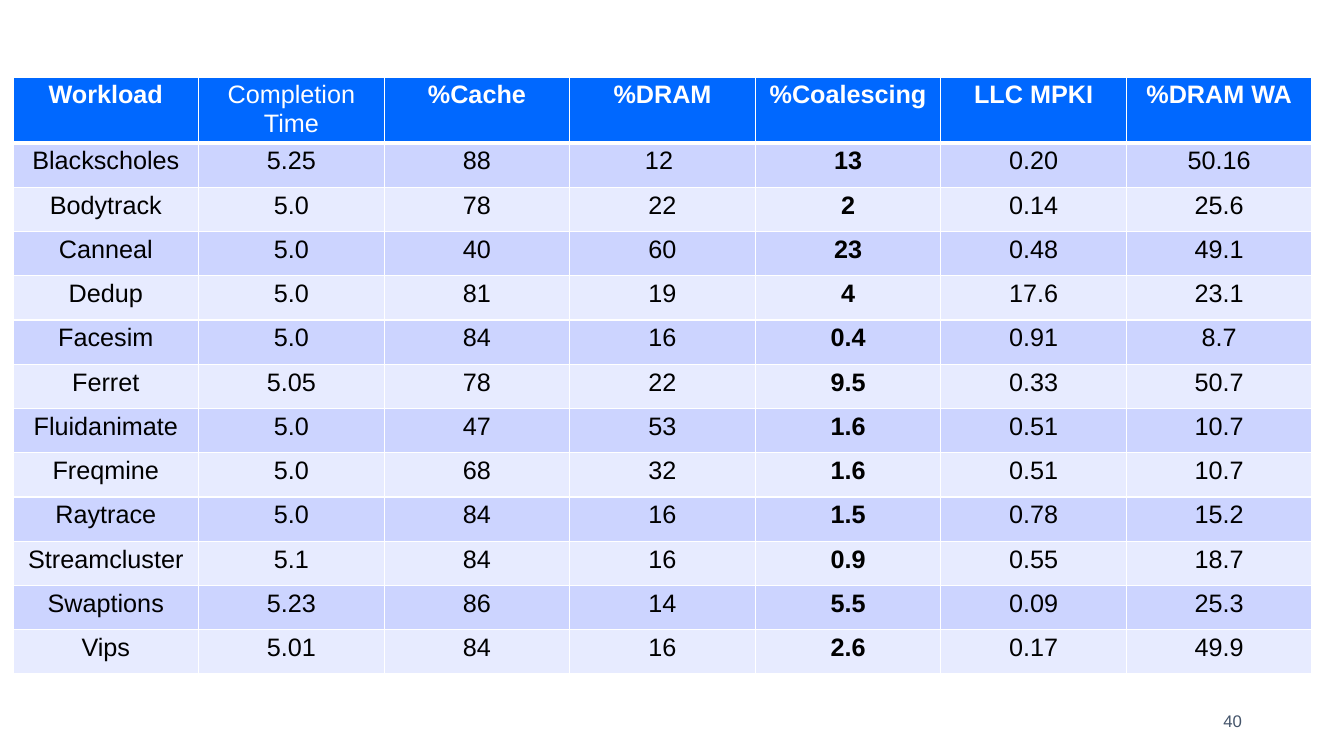
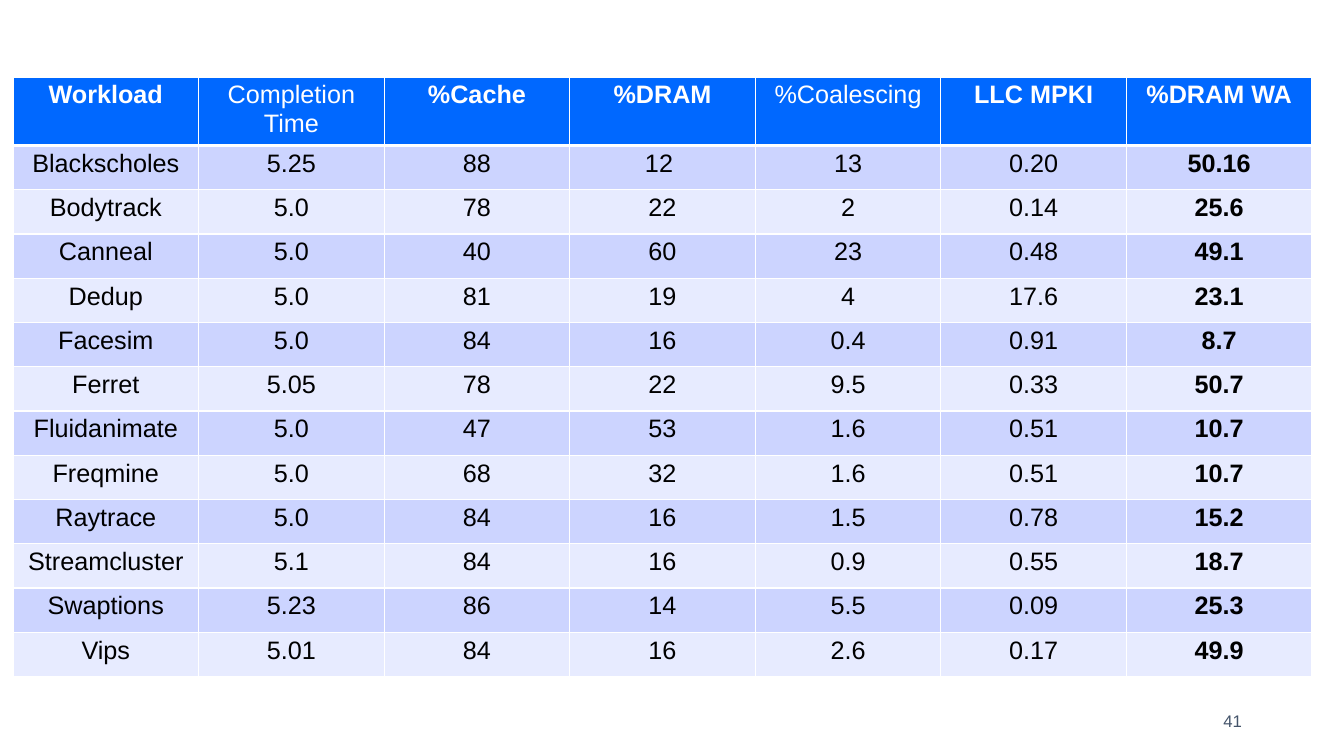
from lxml.etree import SubElement
from pptx import Presentation
from pptx.dml.color import RGBColor as RGB
from pptx.enum.text import MSO_ANCHOR as ANCHOR, PP_ALIGN as ALIGN
from pptx.oxml.ns import qn
from pptx.util import Emu, Pt

COLORS = {
    "header": "0068FF",
    "odd": "CCD4FF",
    "even": "E7EBFF",
    "border": "FFFFFF",
    "header_text": "FFFFFF",
    "body_text": "000000",
    "number": "44546A",
}
HEADINGS = ["Workload", "Completion Time", "%Cache", "%DRAM", "%Coalescing", "LLC MPKI", "%DRAM WA"]
WORKLOADS = [
    ["Blackscholes", "5.25", "88", "12 ", "13", "0.20", "50.16"],
    ["Bodytrack", "5.0", "78", "22", "2", "0.14", "25.6"],
    ["Canneal", "5.0", "40", "60", "23", "0.48", "49.1"],
    ["Dedup", "5.0", "81", "19", "4", "17.6", "23.1"],
    ["Facesim", "5.0", "84", "16", "0.4", "0.91", "8.7"],
    ["Ferret", "5.05", "78", "22", "9.5", "0.33", "50.7"],
    ["Fluidanimate", "5.0", "47", "53", "1.6", "0.51", "10.7"],
    ["Freqmine", "5.0", "68", "32", "1.6", "0.51", "10.7"],
    ["Raytrace", "5.0", "84", "16", "1.5", "0.78", "15.2"],
    ["Streamcluster", "5.1", "84", "16", "0.9", "0.55", "18.7"],
    ["Swaptions", "5.23", "86", "14", "5.5", "0.09", "25.3"],
    ["Vips", "5.01", "84", "16", "2.6", "0.17", "49.9"],
]
SLIDES = [
    {"number": "40", "light_headings": {1}, "bold_column": 4},
    {"number": "41", "light_headings": {1, 4}, "bold_column": 6},
]


def px(length):
    return Emu(round(length * 9144000 / 1008))


class Deck:
    """Holds the shared style and the slide being built."""

    font = "Arial"

    def __init__(self):
        self.presentation = Presentation()
        self.presentation.slide_width = px(1344)
        self.presentation.slide_height = px(756)
        self.slide = None

    def add_slide(self):
        self.slide = self.presentation.slides.add_slide(self.presentation.slide_layouts[6])

    def add_text(self, frame, text, color, size, align, bold=False):
        paragraph = frame.paragraphs[0]
        paragraph.alignment = align
        run = paragraph.add_run()
        run.text = text
        formats = {"name": self.font, "size": Pt(size), "bold": bold}
        for name, value in formats.items():
            setattr(run.font, name, value)
        run.font.color.rgb = RGB.from_string(COLORS[color])

    def border(self, cell, top, bottom):
        properties = cell._tc.get_or_add_tcPr()
        widths = {"a:lnL": 1, "a:lnR": 1, "a:lnT": top, "a:lnB": bottom}
        for index, (tag, width) in enumerate(widths.items()):
            line = properties.makeelement(qn(tag), {"w": str(Pt(width))})
            fill = SubElement(line, qn("a:solidFill"))
            SubElement(fill, qn("a:srgbClr"), val=COLORS["border"])
            properties.insert(index, line)

    def style_cell(self, cell, fill):
        margins = {"margin_left": 7, "margin_right": 7, "margin_top": 4, "margin_bottom": 4}
        for name, value in margins.items():
            setattr(cell, name, px(value))
        cell.fill.solid()
        cell.fill.fore_color.rgb = RGB.from_string(COLORS[fill])

    def add_table(self, light_headings, bold_column):
        rows = [HEADINGS, *WORKLOADS]
        header_height, body_height = 66, 531
        table = self.slide.shapes.add_table(
            len(rows), len(HEADINGS), px(13), px(77), px(1299), px(header_height + body_height)
        ).table
        for row_index, values in enumerate(rows):
            is_header = row_index == 0
            height = header_height if is_header else body_height / len(WORKLOADS)
            table.rows[row_index].height = px(height)
            fill = "header" if is_header else ("even", "odd")[row_index % 2]
            color = "header_text" if is_header else "body_text"
            for column, text in enumerate(values):
                cell = table.cell(row_index, column)
                bold = column not in light_headings if is_header else column == bold_column
                self.style_cell(cell, fill)
                self.border(cell, 3 if row_index == 1 else 1, 3 if is_header else 1)
                self.add_text(cell.text_frame, text, color, 18, ALIGN.CENTER, bold)

    def add_number(self, number):
        frame = self.slide.shapes.add_textbox(px(950), px(701), px(302), px(40)).text_frame
        frame.word_wrap = True
        frame.vertical_anchor = ANCHOR.MIDDLE
        self.add_text(frame, number, "number", 12, ALIGN.RIGHT)


def main():
    deck = Deck()
    for content in SLIDES:
        deck.add_slide()
        deck.add_table(content["light_headings"], content["bold_column"])
        deck.add_number(content["number"])
    deck.presentation.save("out.pptx")


if __name__ == "__main__":
    main()
